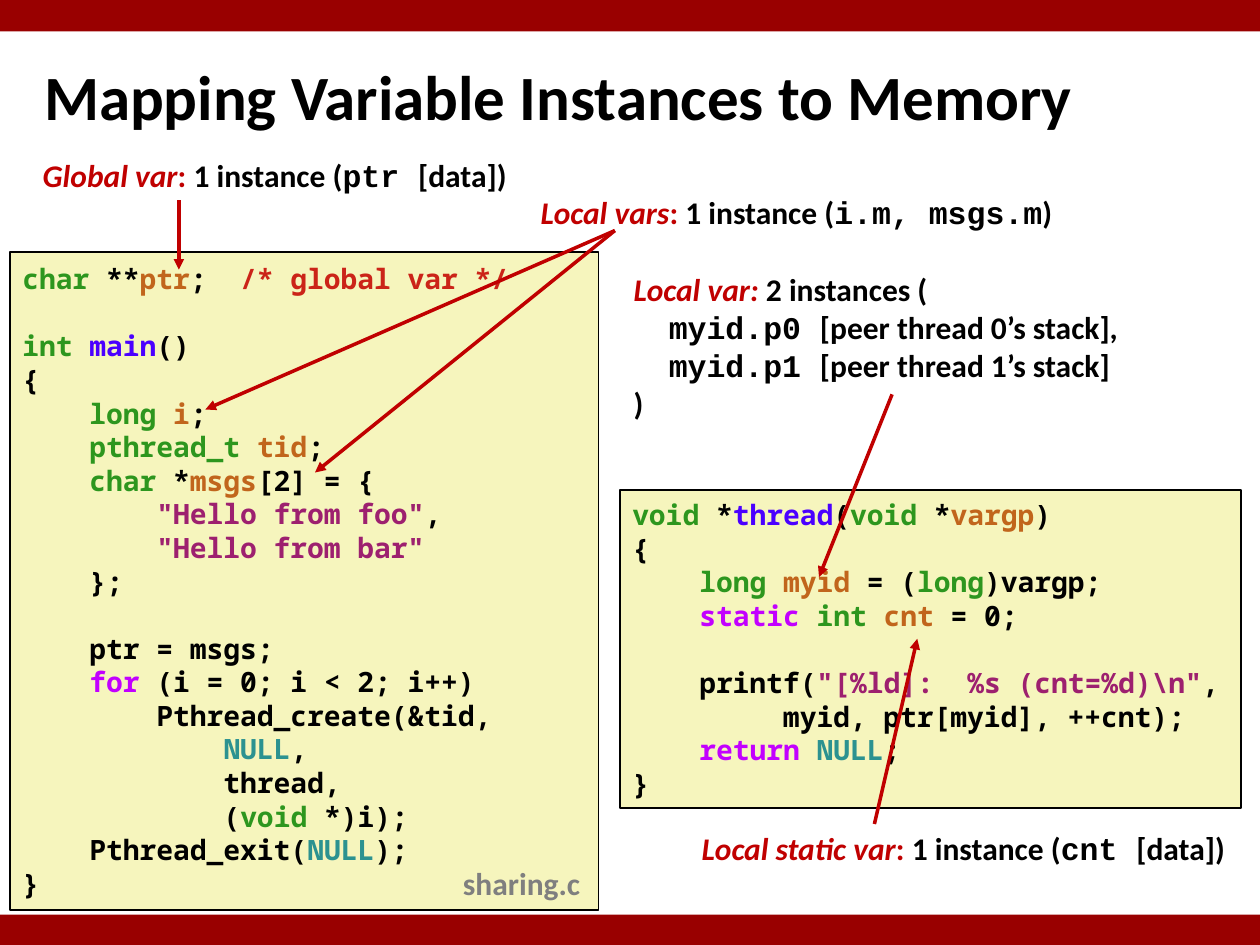
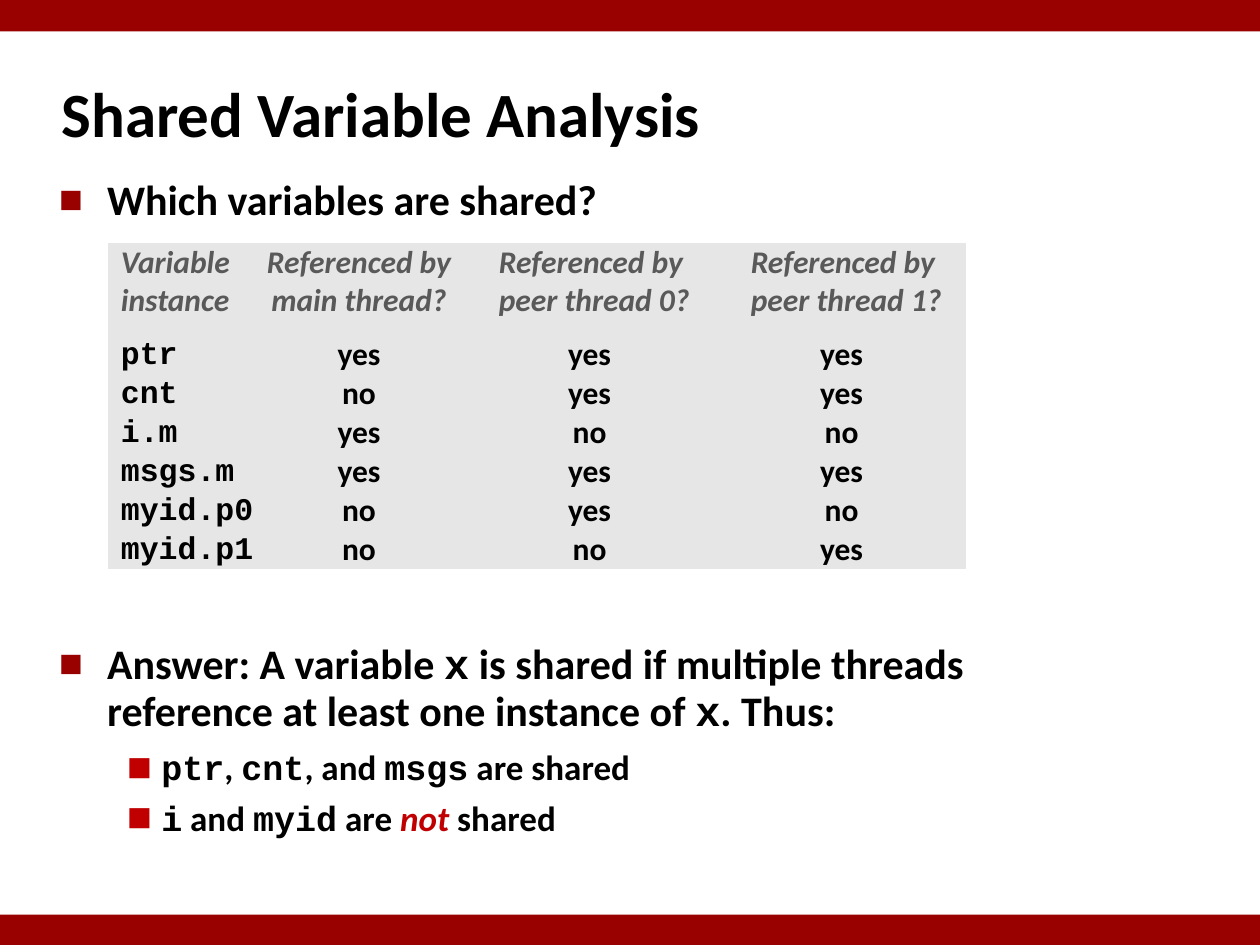
"""Builds two slides on where threads keep their variables and which ones they share."""
from dataclasses import dataclass
from itertools import pairwise
from typing import Any, NamedTuple

from lxml import etree
from pptx import Presentation
from pptx.dml.color import RGBColor
from pptx.enum.shapes import MSO_CONNECTOR, MSO_SHAPE
from pptx.enum.text import MSO_ANCHOR, MSO_AUTO_SIZE, PP_ALIGN
from pptx.oxml.ns import qn
from pptx.util import Emu, Inches, Pt

RECTANGLE = MSO_SHAPE.RECTANGLE
STRAIGHT = MSO_CONNECTOR.STRAIGHT
LEFT, CENTER = PP_ALIGN.LEFT, PP_ALIGN.CENTER
TOP, MIDDLE, BOTTOM = MSO_ANCHOR.TOP, MSO_ANCHOR.MIDDLE, MSO_ANCHOR.BOTTOM
FIXED_SIZE = MSO_AUTO_SIZE.NONE
SLIDE_WIDTH, SLIDE_HEIGHT = Inches(10), Inches(7.5)
COLUMNS, ROWS = 100, 75
TITLE_AND_BODY, TITLE_ONLY = 1, 5
PLAIN_TABLE_STYLE = "{2D5ABB26-0587-4C30-8999-92F81FD0307C}"


@dataclass(frozen=True)
class Theme:
    """Colours, fonts and type sizes of the deck."""
    band: str = "990000"
    accent: str = "C00000"
    ink: str = "000000"
    code_fill: str = "F6F5BD"
    table_fill: str = "E6E6E6"
    heading: str = "595959"
    file_name: str = "7F7F7F"
    text_font: str = "Calibri"
    inline_font: str = "Courier New"
    code_font: str = "Noto Sans Mono"
    title_size: Pt = Pt(36)
    bullet_size: Pt = Pt(24)
    sub_bullet_size: Pt = Pt(20)
    label_size: Pt = Pt(18)
    code_size: Pt = Pt(16)
    code_line: Pt = Pt(19.2)


THEME = Theme()
LABEL = {"name": THEME.text_font, "size": THEME.label_size, "color": THEME.ink,
         "bold": True, "italic": False}
TITLE = LABEL | {"size": THEME.title_size}
BULLET = LABEL | {"size": THEME.bullet_size}
SUB_BULLET = LABEL | {"size": THEME.sub_bullet_size}
HEADING = LABEL | {"color": THEME.heading, "italic": True}
FILE_NAME = LABEL | {"color": THEME.file_name}
CODE = LABEL | {"name": THEME.code_font, "size": THEME.code_size}
MARKS = {
    "type": {"color": "2D961E"},
    "variable": {"color": "C1651C"},
    "function": {"color": "4A00FF"},
    "comment": {"color": "CB2418"},
    "string": {"color": "9D206F"},
    "keyword": {"color": "C200FF"},
    "constant": {"color": "2C9290"},
    "mono": {"name": THEME.inline_font},
    "key": {"color": THEME.accent, "italic": True},
    "colon": {"color": THEME.accent},
}


class Place(NamedTuple):
    """A box in grid columns and rows."""
    column: float
    row: float
    width: float
    height: float


class Callout(NamedTuple):
    """A label with marked-up lines."""
    place: Place
    lines: list[str]
    alignment: PP_ALIGN = CENTER


class Arrow(NamedTuple):
    """A line from a label to a variable, in grid columns and rows."""
    start: tuple[float, float]
    end: tuple[float, float]


class BulletItem(NamedTuple):
    """A bulleted paragraph and its spacing in points."""
    text: str
    level: int
    space_before: float
    line_spacing: float


class BulletStyle(NamedTuple):
    """The look of one bullet level."""
    formats: dict[str, Any]
    margin: float
    hanging: float
    color: str
    percent: int


class TableColumn(NamedTuple):
    """A table column with its width and heading layout in grid columns."""
    width: float
    heading: tuple[str, str]
    alignment: PP_ALIGN
    margin: float


BANDS = [Place(0, 0, 100, 2.5), Place(0, 72.6, 100, 2.4)]

MAIN_CODE = """~type:char~ **~variable:ptr~;  ~comment:/* global var */~

~type:int ~~function:main~()
{
    ~type:long ~~variable:i~;
    ~type:pthread_t ~~variable:tid~;
    ~type:char~ *~variable:msgs~[2] = {
        ~string:"Hello from foo"~,
        ~string:"Hello from bar"~
    };

    ptr = msgs;
    ~keyword:for~ (i = 0; i < 2; i++)
        Pthread_create(&tid,
            ~constant:NULL~,
            thread,
            (~type:void~ *)i);
    Pthread_exit(~constant:NULL~);
}"""

THREAD_CODE = r"""~type:void~ *~function:thread~(~type:void~ *~variable:vargp~)
{
    ~type:long ~~variable:myid~ = (~type:long~)vargp;
    ~keyword:static ~~type:int ~~variable:cnt~ = 0;

    printf(~string:"[%ld]:  %s (cnt=%d)\n"~,
         myid, ptr[myid], ++cnt);
    ~keyword:return ~~constant:NULL~;
}"""

CODE_BOXES = [(Place(0.8, 20, 46.7, 52.2), MAIN_CODE),
              (Place(49.2, 38.9, 49.3, 25.2), THREAD_CODE)]
CALLOUTS = [
    Callout(Place(2.2, 12.4, 39.2, 3),
            ["~key:Global var~~colon:: ~1 instance (~mono:ptr ~[data])"]),
    Callout(Place(54.4, 65.8, 44.1, 3),
            ["~key:Local static var~~colon:: ~1 instance (~mono:cnt ~[data])"]),
    Callout(Place(41.7, 15.3, 43, 3),
            ["~key:Local vars~~colon:: ~1 instance (~mono:i.m, msgs.m~)"]),
    Callout(Place(49.3, 21.4, 42.3, 12.1),
            ["~key:Local var: ~2 instances (",
             "\t~mono:myid.p0 ~[peer thread 0’s stack],",
             "\t~mono:myid.p1 ~[peer thread 1’s stack]", ")"], LEFT),
]
ARROWS = [
    Arrow((14.2, 15.9), (14.2, 21.4)),
    Arrow((69.4, 65.4), (72.8, 50.7)),
    Arrow((48.8, 18.3), (16.3, 32.5)),
    Arrow((48.8, 18.3), (25, 37.5)),
    Arrow((70.8, 31.3), (65, 45.8)),
]
BULLET_STYLES = [BulletStyle(BULLET, 3.8, 3.8, THEME.band, 60),
                 BulletStyle(SUB_BULLET, 8.1, 2.7, THEME.accent, 75)]
BULLETS = [
    BulletItem("Which variables are shared?", 0, 0, 1),
    BulletItem("Answer: A variable ~mono:x~ is shared if multiple threads reference "
               "at least one instance of ~mono:x~. Thus:", 0, 238, 0.95),
    BulletItem("~mono:ptr~, ~mono:cnt~, and ~mono:msgs~ are shared", 1, 5, 1),
    BulletItem("~mono:i~ and ~mono:myid~ are ~key:not~ shared", 1, 5, 1),
]
TABLE_COLUMNS = [
    TableColumn(11.7, ("Variable", "instance"), LEFT, 1),
    TableColumn(16.4, ("Referenced by", "main thread?"), CENTER, 0),
    TableColumn(20.2, ("Referenced by", "peer thread 0?"), LEFT, 2.9),
    TableColumn(19.8, ("Referenced by", "peer thread 1?"), LEFT, 2.7),
]
TABLE_ROWS = ["ptr yes yes yes", "cnt no yes yes", "i.m yes no no",
              "msgs.m yes yes yes", "myid.p0 no yes no", "myid.p1 no no yes"]
HEADING_HEIGHT, ROW_HEIGHT = 7.3, 3.1


def across(columns: float) -> Emu:
    """Turn grid columns into a length."""
    return Emu(round(SLIDE_WIDTH * columns / COLUMNS))


def down(rows: float) -> Emu:
    """Turn grid rows into a length."""
    return Emu(round(SLIDE_HEIGHT * rows / ROWS))


def bounds(place: Place) -> tuple[Emu, Emu, Emu, Emu]:
    """Turn a grid place into left, top, width and height."""
    return across(place.column), down(place.row), across(place.width), down(place.height)


def set_all(target: Any, **values: Any) -> None:
    """Set every given attribute on the target."""
    for name, value in values.items():
        setattr(target, name, value)


def write(paragraph: Any, text: str, formats: dict[str, Any]) -> None:
    """Write text whose ~mark:parts~ take the format of their mark."""
    for position, part in enumerate(text.split("~")):
        mark, _, marked = part.partition(":")
        is_marked = position % 2 == 1
        content = marked if is_marked else part
        if content:
            run = paragraph.add_run()
            run.text = content
            values = formats | (MARKS[mark] if is_marked else {})
            run.font.color.rgb = RGBColor.from_string(values["color"])
            set_all(run.font, **{k: v for k, v in values.items() if k != "color"})


def indent(paragraph: Any, margin: float, hanging: float = 0) -> None:
    """Indent a paragraph by grid columns."""
    properties = paragraph._p.get_or_add_pPr()
    properties.set("marL", str(across(margin)))
    properties.set("indent", str(-across(hanging)))


def next_paragraph(frame: Any, position: int) -> Any:
    """Return the first paragraph of the frame or a new one."""
    return frame.add_paragraph() if position else frame.paragraphs[0]


def add_box(slide: Any, place: Place, fill: str, line: str | None = None) -> Any:
    """Draw a filled rectangle."""
    shape = slide.shapes.add_shape(RECTANGLE, *bounds(place))
    shape.shadow.inherit = False
    shape.fill.solid()
    shape.fill.fore_color.rgb = RGBColor.from_string(fill)
    if line:
        shape.line.color.rgb = RGBColor.from_string(line)
        shape.line.width = Pt(1)
    else:
        shape.line.fill.background()
    return shape


def add_code(slide: Any, place: Place, code: str) -> None:
    """Draw a code box, with empty code lines as paragraph spacing."""
    frame = add_box(slide, place, THEME.code_fill, THEME.ink).text_frame
    set_all(frame, vertical_anchor=MIDDLE, word_wrap=True)
    lines = code.split("\n")
    for position, (previous, line) in enumerate(pairwise(["{", *lines])):
        if line:
            paragraph = next_paragraph(frame, position)
            paragraph.alignment = LEFT
            if not previous:
                paragraph.space_before = THEME.code_line
            write(paragraph, line, CODE)


def add_callout(slide: Any, callout: Callout, formats: dict[str, Any]) -> None:
    """Draw a label, with tabbed lines as indented paragraphs."""
    frame = slide.shapes.add_textbox(*bounds(callout.place)).text_frame
    set_all(frame, margin_top=0, margin_bottom=0, vertical_anchor=MIDDLE,
            word_wrap=callout.alignment == LEFT)
    for position, line in enumerate(callout.lines):
        paragraph = next_paragraph(frame, position)
        paragraph.alignment = callout.alignment
        if line.startswith("\t"):
            indent(paragraph, 2.8)
        write(paragraph, line.lstrip("\t"), formats)


def add_arrow(slide: Any, arrow: Arrow) -> None:
    """Draw a line with an arrowhead at its end."""
    (left, top), (right, bottom) = arrow
    connector = slide.shapes.add_connector(
        STRAIGHT, across(left), down(top), across(right), down(bottom))
    connector.line.color.rgb = RGBColor.from_string(THEME.accent)
    connector.line.width = Pt(2)
    etree.SubElement(connector.line._get_or_add_ln(), qn("a:tailEnd"), type="triangle")
    etree.SubElement(connector._element.spPr, qn("a:effectLst"))


def add_bullets(body: Any, place: Place) -> None:
    """Fill the body placeholder with the bulleted list."""
    set_all(body, **dict(zip(("left", "top", "width", "height"), bounds(place))))
    set_all(body.text_frame, auto_size=FIXED_SIZE, vertical_anchor=TOP)
    for position, item in enumerate(BULLETS):
        style = BULLET_STYLES[item.level]
        paragraph = next_paragraph(body.text_frame, position)
        indent(paragraph, style.margin, style.hanging)
        properties = paragraph._p.get_or_add_pPr()
        color = etree.SubElement(properties, qn("a:buClr"))
        etree.SubElement(color, qn("a:srgbClr"), val=style.color)
        etree.SubElement(properties, qn("a:buSzPct"), val=str(style.percent * 1000))
        etree.SubElement(properties, qn("a:buFont"), typeface=THEME.text_font)
        etree.SubElement(properties, qn("a:buChar"), char="■")
        set_all(paragraph, level=item.level, space_before=Pt(item.space_before),
                line_spacing=item.line_spacing)
        write(paragraph, item.text, style.formats)


def fill_cell(cell: Any, lines: tuple[str, ...], formats: dict[str, Any],
              alignment: PP_ALIGN, anchor: MSO_ANCHOR, margin: float) -> None:
    """Write the lines of one table cell."""
    cell.fill.solid()
    cell.fill.fore_color.rgb = RGBColor.from_string(THEME.table_fill)
    set_all(cell, margin_left=across(margin), margin_right=0, margin_top=0,
            margin_bottom=0, vertical_anchor=anchor)
    for position, line in enumerate(lines):
        paragraph = next_paragraph(cell.text_frame, position)
        paragraph.alignment = alignment
        write(paragraph, line, formats)


def add_reference_table(slide: Any, column: float, row: float) -> None:
    """Draw the table of variable instances and the threads using them."""
    place = Place(column, row, sum(item.width for item in TABLE_COLUMNS),
                  HEADING_HEIGHT + ROW_HEIGHT * len(TABLE_ROWS))
    table = slide.shapes.add_table(
        len(TABLE_ROWS) + 1, len(TABLE_COLUMNS), *bounds(place)).table
    set_all(table, first_row=False, horz_banding=False)
    table._tbl.tblPr.find(qn("a:tableStyleId")).text = PLAIN_TABLE_STYLE
    for position, table_row in enumerate(table.rows):
        table_row.height = down(ROW_HEIGHT if position else HEADING_HEIGHT)
    values = [text.split() for text in TABLE_ROWS]
    for index, item in enumerate(TABLE_COLUMNS):
        table.columns[index].width = across(item.width)
        fill_cell(table.cell(0, index), item.heading, HEADING,
                  item.alignment, TOP, item.margin)
        layout = (CENTER, MIDDLE, 0) if index else (LEFT, BOTTOM, item.margin)
        formats = LABEL if index else LABEL | MARKS["mono"]
        for position, row_values in enumerate(values, 1):
            fill_cell(table.cell(position, index), (row_values[index],), formats, *layout)


def add_slide(presentation: Any, layout: int, title: str, place: Place) -> Any:
    """Add a slide with its bands and title."""
    slide = presentation.slides.add_slide(presentation.slide_layouts[layout])
    for band in BANDS:
        add_box(slide, band, THEME.band)
    shape = slide.shapes.title
    set_all(shape, **dict(zip(("left", "top", "width", "height"), bounds(place))))
    set_all(shape.text_frame, auto_size=FIXED_SIZE, vertical_anchor=MIDDLE)
    paragraph = shape.text_frame.paragraphs[0]
    paragraph.alignment = LEFT
    write(paragraph, title, TITLE)
    return slide


def main() -> None:
    """Build and save the deck."""
    presentation = Presentation()
    set_all(presentation, slide_width=SLIDE_WIDTH, slide_height=SLIDE_HEIGHT)
    mapping = add_slide(presentation, TITLE_ONLY, "Mapping Variable Instances to Memory",
                        Place(2.5, 3.3, 97.5, 8.5))
    for place, code in CODE_BOXES:
        add_code(mapping, place, code)
    for callout in CALLOUTS:
        add_callout(mapping, callout, LABEL)
    for arrow in ARROWS:
        add_arrow(mapping, arrow)
    add_callout(mapping, Callout(Place(35.7, 68.1, 11.4, 4), ["sharing.c"]), FILE_NAME)

    analysis = add_slide(presentation, TITLE_AND_BODY, "Shared Variable Analysis",
                         Place(3.9, 4.8, 83, 8.3))
    add_bullets(analysis.placeholders[1], Place(3.7, 13.3, 86, 56.7))
    add_reference_table(analysis, 8.6, 19.3)
    presentation.save("out.pptx")


if __name__ == "__main__":
    main()
